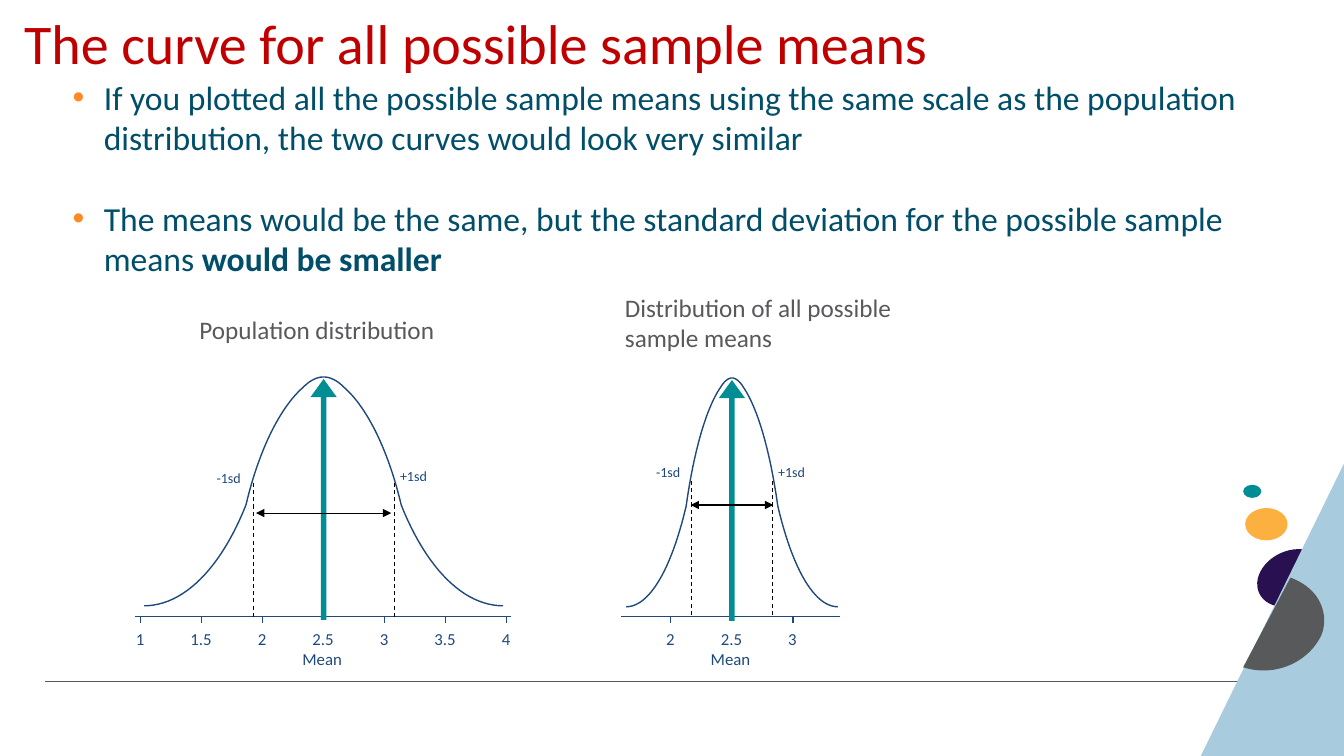
from lxml import etree
from pptx import Presentation
from pptx.dml.color import RGBColor
from pptx.enum.dml import MSO_LINE
from pptx.enum.shapes import MSO_CONNECTOR, MSO_SHAPE
from pptx.enum.text import MSO_ANCHOR, MSO_AUTO_SIZE, PP_ALIGN
from pptx.oxml.ns import qn
from pptx.util import Cm, Pt

LEFT, CENTER = PP_ALIGN.LEFT, PP_ALIGN.CENTER
TOP = MSO_ANCHOR.TOP
NO_AUTOFIT = MSO_AUTO_SIZE.NONE
STRAIGHT = MSO_CONNECTOR.STRAIGHT
DASH = MSO_LINE.DASH
ELLIPSE, TRIANGLE, UP_ARROW = MSO_SHAPE.OVAL, MSO_SHAPE.RIGHT_TRIANGLE, MSO_SHAPE.UP_ARROW

FONT = "Calibri"
COLOURS = {
    "title": "C00000", "body": "004E69", "bullet": "FF8923", "grey": "58595B",
    "navy": "1F497D", "teal": "008E94", "black": "000000", "purple": "281051",
    "amber": "FBB040", "pale blue": "A8CCDD",
}
BULLETS = [
    [("If you plotted all the possible sample means using the same scale as the "
      "population distribution, the two curves would look very similar", False)],
    [("The means would be the same, but the standard deviation for the possible "
      "sample means ", False), ("would be smaller", True)],
]
HALF_BELL = [
    [(0, 3.74), (0.07, 3.74), (0.14, 3.78), (0.2, 3.84)],
    [(0.2, 3.84), (0.43, 4.04), (0.64, 4.46), (0.77, 5.01)],
    [(0.77, 5.01), (1.02, 5.64), (1.39, 6.01), (1.78, 6.01)],
]
GREY_ARC = [
    [(12.8, 5.73), (13.17, 5.87), (13.18, 6.2), (13.08, 6.35)],
    [(13.08, 6.35), (12.95, 6.57), (12.65, 6.72), (12.33, 6.62)],
]
MEAN_VALUE = 2.5
UNIT_WIDTH = 1.21
AXIS_TOP = 6.12
STEPS = 24


def inches(value):
    """Turn inches into a Cm length."""
    return Cm(value * 2.54)


def colour(name):
    """Look up a named colour."""
    return RGBColor.from_string(COLOURS[name])


def style_text(paragraph, runs, *, size, color, align=LEFT):
    """Fill a paragraph with (text, bold) runs in one format."""
    paragraph.alignment = align
    paragraph.font.size = Pt(size)
    for words, bold in runs:
        run = paragraph.add_run()
        run.text = words
        run.font.name = FONT
        run.font.size = Pt(size)
        run.font.bold = bold
        run.font.color.rgb = colour(color)


def clear_margins(frame):
    """Remove the inner margins of a text frame."""
    frame.margin_left = frame.margin_right = frame.margin_top = frame.margin_bottom = 0


def add_text(slide, text, left, top, width, height, *, wrap=False, **text_format):
    """Add a one-paragraph text box."""
    box = slide.shapes.add_textbox(*map(inches, (left, top, width, height)))
    box.text_frame.word_wrap = wrap
    style_text(box.text_frame.paragraphs[0], [(text, False)], **text_format)


def add_title(slide, text):
    """Place and format the title placeholder."""
    title = slide.shapes.title
    title.left, title.top, title.width, title.height = map(inches, (0.24, 0.21, 12.62, 0.55))
    frame = title.text_frame
    clear_margins(frame)
    frame.auto_size = NO_AUTOFIT
    frame.vertical_anchor = TOP
    frame.paragraphs[0].line_spacing = 0.8
    style_text(frame.paragraphs[0], [(text, False)], size=40, color="title")


def add_bullets(slide, items):
    """Add the bulleted body text."""
    box = slide.shapes.add_textbox(*map(inches, (0.72, 0.76, 12.28, 1.74)))
    frame = box.text_frame
    frame.word_wrap = True
    clear_margins(frame)
    for index, runs in enumerate(items):
        paragraph = frame.add_paragraph() if index else frame.paragraphs[0]
        properties = paragraph._p.get_or_add_pPr()
        properties.set("marL", str(inches(0.31)))
        properties.set("indent", str(-inches(0.31)))
        bullet_colour = etree.SubElement(properties, qn("a:buClr"))
        etree.SubElement(bullet_colour, qn("a:srgbClr"), val=COLOURS["bullet"])
        etree.SubElement(properties, qn("a:buFont"), typeface="Arial")
        etree.SubElement(properties, qn("a:buChar"), char="•")
        if index:
            paragraph.space_before = Pt(29)
        style_text(paragraph, runs, size=24, color="body")


def add_line(slide, start, end, color, *, dash=None, arrows=False):
    """Add a thin line, with arrowheads at both ends if asked."""
    line = slide.shapes.add_connector(STRAIGHT, *map(inches, (*start, *end)))
    line.line.color.rgb = colour(color)
    line.line.width = Pt(0.75)
    if dash:
        line.line.dash_style = dash
    if arrows:
        for tag in ("a:headEnd", "a:tailEnd"):
            etree.SubElement(line.line._get_or_add_ln(), qn(tag), type="triangle")
    etree.SubElement(line._element.spPr, qn("a:effectLst"))


def add_filled(slide, kind, left, top, width, height, color):
    """Add a preset shape with a plain fill."""
    shape = slide.shapes.add_shape(kind, *map(inches, (left, top, width, height)))
    shape.shadow.inherit = False
    shape.fill.solid()
    shape.fill.fore_color.rgb = colour(color)
    shape.line.fill.background()
    return shape


def curve_points(segments):
    """Sample points along cubic Bézier segments."""
    points = [segments[0][0]]
    for segment in segments:
        for step in range(1, STEPS + 1):
            t = step / STEPS
            weights = ((1 - t) ** 3, 3 * t * (1 - t) ** 2, 3 * t * t * (1 - t), t ** 3)
            points.append(tuple(
                sum(weight * point[axis] for weight, point in zip(weights, segment))
                for axis in (0, 1)))
    return points


def add_outline(slide, points, *, closed):
    """Add a freeform through the points."""
    lengths = [(inches(x), inches(y)) for x, y in points]
    builder = slide.shapes.build_freeform(*lengths[0])
    builder.add_line_segments(lengths[1:], close=closed)
    shape = builder.convert_to_shape()
    shape.shadow.inherit = False
    return shape


def add_corner_decoration(slide):
    """Add the footer line and the coloured shapes in the corner."""
    add_line(slide, (0.45, 6.76), (12.88, 6.76), "grey")
    add_filled(slide, ELLIPSE, 12.54, 5.38, 0.54, 0.71, "purple").rotation = 65
    add_filled(slide, ELLIPSE, 12.35, 5.04, 0.42, 0.32, "amber")
    add_filled(slide, ELLIPSE, 12.33, 4.81, 0.18, 0.13, "teal")
    triangle = add_filled(slide, TRIANGLE, 11.91, 4.6, 1.42, 2.9, "pale blue")
    triangle._element.spPr.xfrm.set("flipH", "1")
    half_disc = add_outline(slide, curve_points(GREY_ARC), closed=True)
    half_disc.fill.solid()
    half_disc.fill.fore_color.rgb = colour("grey")
    half_disc.line.fill.background()


def add_distribution(slide, *, center, scale, drop, axis, values, deviation,
                     dash_span, spread, spread_top, minus_label, plus_label):
    """Add a bell curve with its axis, mean arrow and deviation marks."""
    right = [(x * scale, y + drop) for x, y in curve_points(HALF_BELL)]
    left = [(-x, y) for x, y in reversed(right[1:])]
    bell = add_outline(slide, [(center + x, y) for x, y in left + right], closed=False)
    bell.fill.background()
    bell.line.color.rgb = colour("navy")
    bell.line.width = Pt(1)

    add_line(slide, (axis[0], AXIS_TOP), (axis[1], AXIS_TOP), "navy")
    label_format = {"size": 12, "color": "navy", "align": CENTER}
    for value in values:
        x = center + (value - MEAN_VALUE) * UNIT_WIDTH
        if value != MEAN_VALUE:
            add_line(slide, (x, AXIS_TOP), (x, AXIS_TOP + 0.06), "navy")
        add_text(slide, f"{value:g}", x - 0.22, 6.19, 0.43, 0.3, **label_format)
    add_text(slide, "Mean", center - 0.32, 6.39, 0.61, 0.3, **label_format)

    for x in (center - deviation, center + deviation):
        add_line(slide, (x, dash_span[1]), (x, dash_span[0]), "black", dash=DASH)
    arrow = add_filled(slide, UP_ARROW, center - 0.13, 3.76 + drop, 0.26, 2.39, "teal")
    arrow.adjustments[0], arrow.adjustments[1] = 0.21, 0.69
    add_line(slide, (center - spread, spread_top), (center + spread, spread_top),
             "black", arrows=True)
    for text, place, width in (("-1sd", minus_label, 0.47), ("+1sd", plus_label, 0.5)):
        add_text(slide, text, *place, width, 0.27, size=10, color="navy")


def main():
    """Build the slide and save it."""
    presentation = Presentation()
    presentation.slide_width, presentation.slide_height = inches(13.33), inches(7.5)
    slide = presentation.slides.add_slide(presentation.slide_layouts[5])
    add_corner_decoration(slide)
    add_title(slide, "The curve for all possible sample means")
    add_bullets(slide, BULLETS)
    add_text(slide, "Population distribution", 1.88, 3.07, 2.66, 0.4, size=18, color="grey")
    add_text(slide, "Distribution of all possible sample means", 6.1, 2.85, 2.84, 0.7,
             wrap=True, size=18, color="grey")
    add_distribution(
        slide, center=3.21, scale=1, drop=0, axis=(1.34, 5.07),
        values=[1, 1.5, 2, 2.5, 3, 3.5, 4], deviation=0.7, dash_span=(4.76, 6.12),
        spread=0.67, spread_top=5.09, minus_label=(2.05, 4.61), plus_label=(3.87, 4.59))
    add_distribution(
        slide, center=7.26, scale=0.59, drop=0.01, axis=(6.16, 8.33),
        values=[2, 2.5, 3], deviation=0.4, dash_span=(4.74, 6.1),
        spread=0.41, spread_top=5.01, minus_label=(6.41, 4.55), plus_label=(7.62, 4.55))
    presentation.save("out.pptx")


if __name__ == "__main__":
    main()
